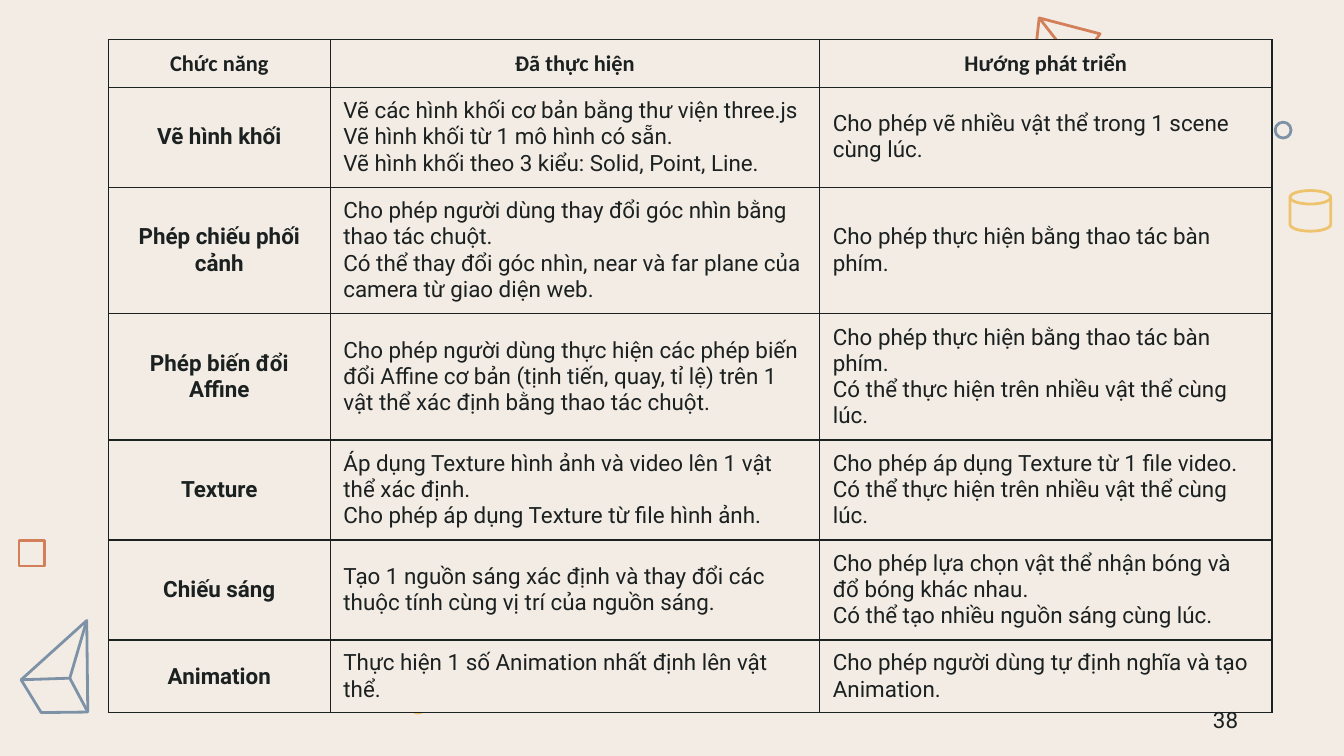
from dataclasses import dataclass

from lxml import etree
from pptx import Presentation
from pptx.dml.color import RGBColor
from pptx.enum.shapes import MSO_SHAPE
from pptx.enum.text import MSO_ANCHOR, PP_ALIGN
from pptx.oxml.ns import qn
from pptx.util import Cm, Pt

CENTER, LEFT, RIGHT = PP_ALIGN.CENTER, PP_ALIGN.LEFT, PP_ALIGN.RIGHT
MIDDLE = MSO_ANCHOR.MIDDLE
RECTANGLE, OVAL = MSO_SHAPE.RECTANGLE, MSO_SHAPE.OVAL
DRUM = MSO_SHAPE.FLOWCHART_DIRECT_ACCESS_STORAGE


@dataclass(frozen=True)
class Theme:
    paper: str = "F3ECE4"
    ink: str = "1B2020"
    orange: str = "D37F5A"
    blue: str = "7D92A7"
    yellow: str = "EEC36D"
    head_font: str = "Calibri"
    body_font: str = "Roboto"
    text_size: float = 12
    border: float = 0.75
    outline: float = 1.5


THEME = Theme()

COLUMN_WIDTHS = [4.19, 9.25, 8.55]
ROW_HEIGHTS = [0.89, 1.89, 2.39, 2.39, 1.89, 1.89, 1.37]

# Each cell is a list of paragraphs
ROWS = [
    [["Chức năng"], ["Đã thực hiện"], ["Hướng phát triển"]],
    [["Vẽ hình khối"],
     ["Vẽ các hình khối cơ bản bằng thư viện three.js",
      "Vẽ hình khối từ 1 mô hình có sẵn.",
      "Vẽ hình khối theo 3 kiểu: Solid, Point, Line."],
     ["Cho phép vẽ nhiều vật thể trong 1 scene cùng lúc."]],
    [["Phép chiếu phối cảnh"],
     ["Cho phép người dùng thay đổi góc nhìn bằng thao tác chuột.",
      "Có thể thay đổi góc nhìn, near và far plane của camera từ giao diện web."],
     ["Cho phép thực hiện bằng thao tác bàn phím."]],
    [["Phép biến đổi Affine"],
     ["Cho phép người dùng thực hiện các phép biến đổi Affine cơ bản "
      "(tịnh tiến, quay, tỉ lệ) trên 1 vật thể xác định bằng thao tác chuột."],
     ["Cho phép thực hiện bằng thao tác bàn phím.",
      "Có thể thực hiện trên nhiều vật thể cùng lúc."]],
    [["Texture"],
     ["Áp dụng Texture hình ảnh và video lên 1 vật thể xác định.",
      "Cho phép áp dụng Texture từ file hình ảnh."],
     ["Cho phép áp dụng Texture từ 1 file video.",
      "Có thể thực hiện trên nhiều vật thể cùng lúc."]],
    [["Chiếu sáng"],
     ["Tạo 1 nguồn sáng xác định và thay đổi các thuộc tính cùng vị trí của nguồn sáng."],
     ["Cho phép lựa chọn vật thể nhận bóng và đổ bóng khác nhau.",
      "Có thể tạo nhiều nguồn sáng cùng lúc."]],
    [["Animation"],
     ["Thực hiện 1 số Animation nhất định lên vật thể."],
     ["Cho phép người dùng tự định nghĩa và tạo Animation."]],
]


def rgb(color):
    return RGBColor.from_string(color)


def style_outline(shape, color):
    shape.shadow.inherit = False
    shape.fill.background()
    shape.line.color.rgb = rgb(color)
    shape.line.width = Pt(THEME.outline)


def add_outline(page, kind, box, color, rotation=0):
    shape = page.shapes.add_shape(kind, *map(Cm, box))
    shape.rotation = rotation
    style_outline(shape, color)


def add_wireframe(page, left, top, strokes, color):
    """Draw strokes, lists of points in cm from the left top corner."""
    contours = [[(Cm(left + x), Cm(top + y)) for x, y in stroke] for stroke in strokes]
    builder = page.shapes.build_freeform(*contours[0][0])
    for contour in contours:
        builder.move_to(*contour[0])
        builder.add_line_segments(contour[1:], close=False)
    style_outline(builder.convert_to_shape(), color)


def add_plane(page, left, top):
    nose, wing, fold, tail = (0.1, 0), (1.25, 0.3), (0.82, 0.92), (0, 0.92)
    add_wireframe(page, left, top,
                  [[nose, wing, fold, nose], [nose, tail, fold]], THEME.orange)


def add_prism(page, left, top):
    apex, west, inner = (1.24, 0), (0, 1.12), (0.92, 1.09)
    east, south = (1.26, 1.73), (0.38, 1.74)
    add_wireframe(page, left, top,
                  [[apex, west, south, east, apex], [apex, inner], [west, inner, east]],
                  THEME.blue)


def add_decorations(page):
    add_plane(page, 19.54, 0.34)
    add_prism(page, 0.4, 11.73)
    add_outline(page, RECTANGLE, (0.36, 10.21, 0.49, 0.49), THEME.orange)
    add_outline(page, OVAL, (24.1, 2.31, 0.3, 0.3), THEME.blue)
    add_outline(page, DRUM, (24.38, 3.6, 0.77, 0.77), THEME.yellow, 270)
    add_outline(page, OVAL, (7.75, 13.18, 0.3, 0.3), THEME.yellow)


def add_span(para, text, font, bold=False):
    span = para.add_run()
    span.text = text
    span.font.name = font
    span.font.size = Pt(THEME.text_size)
    span.font.bold = bold
    span.font.color.rgb = rgb(THEME.ink)


def add_borders(cell):
    properties = cell._tc.get_or_add_tcPr()
    for index, side in enumerate(("lnL", "lnR", "lnT", "lnB")):
        line = etree.Element(qn(f"a:{side}"), w=str(Pt(THEME.border)))
        fill = etree.SubElement(line, qn("a:solidFill"))
        etree.SubElement(fill, qn("a:srgbClr"), val=THEME.ink)
        properties.insert(index, line)


def fill_cell(cell, texts, font, bold, align):
    cell.fill.solid()
    cell.fill.fore_color.rgb = rgb(THEME.paper)
    cell.vertical_anchor = MIDDLE
    cell.margin_left = cell.margin_right = Cm(0.25)
    cell.margin_top = cell.margin_bottom = Cm(0.19)
    frame = cell.text_frame
    for index, text in enumerate(texts):
        para = frame.add_paragraph() if index else frame.paragraphs[0]
        para.alignment = align
        add_span(para, text, font, bold)
    add_borders(cell)


def add_feature_table(page, left, top):
    table = page.shapes.add_table(
        len(ROWS), len(COLUMN_WIDTHS), Cm(left), Cm(top),
        Cm(sum(COLUMN_WIDTHS)), Cm(sum(ROW_HEIGHTS))).table
    for column, width in zip(table.columns, COLUMN_WIDTHS):
        column.width = Cm(width)
    for row, height in zip(table.rows, ROW_HEIGHTS):
        row.height = Cm(height)
    for r, row in enumerate(ROWS):
        for c, texts in enumerate(row):
            heading = r == 0 or c == 0
            fill_cell(table.cell(r, c), texts,
                      THEME.body_font if r else THEME.head_font,
                      heading, CENTER if heading else LEFT)


def add_page_number(page, box, number):
    frame = page.shapes.add_textbox(*map(Cm, box)).text_frame
    frame.word_wrap = True
    frame.vertical_anchor = MIDDLE
    para = frame.paragraphs[0]
    para.alignment = RIGHT
    add_span(para, number, THEME.body_font)


def main():
    deck = Presentation()
    deck.slide_width, deck.slide_height = Cm(25.4), Cm(14.29)
    page = deck.slides.add_slide(deck.slide_layouts[6])
    page.background.fill.solid()
    page.background.fill.fore_color.rgb = rgb(THEME.paper)
    add_decorations(page)
    add_feature_table(page, 2.05, 0.75)
    add_page_number(page, (17.93, 13.23, 5.72, 0.76), "38")
    deck.save("out.pptx")


if __name__ == "__main__":
    main()
